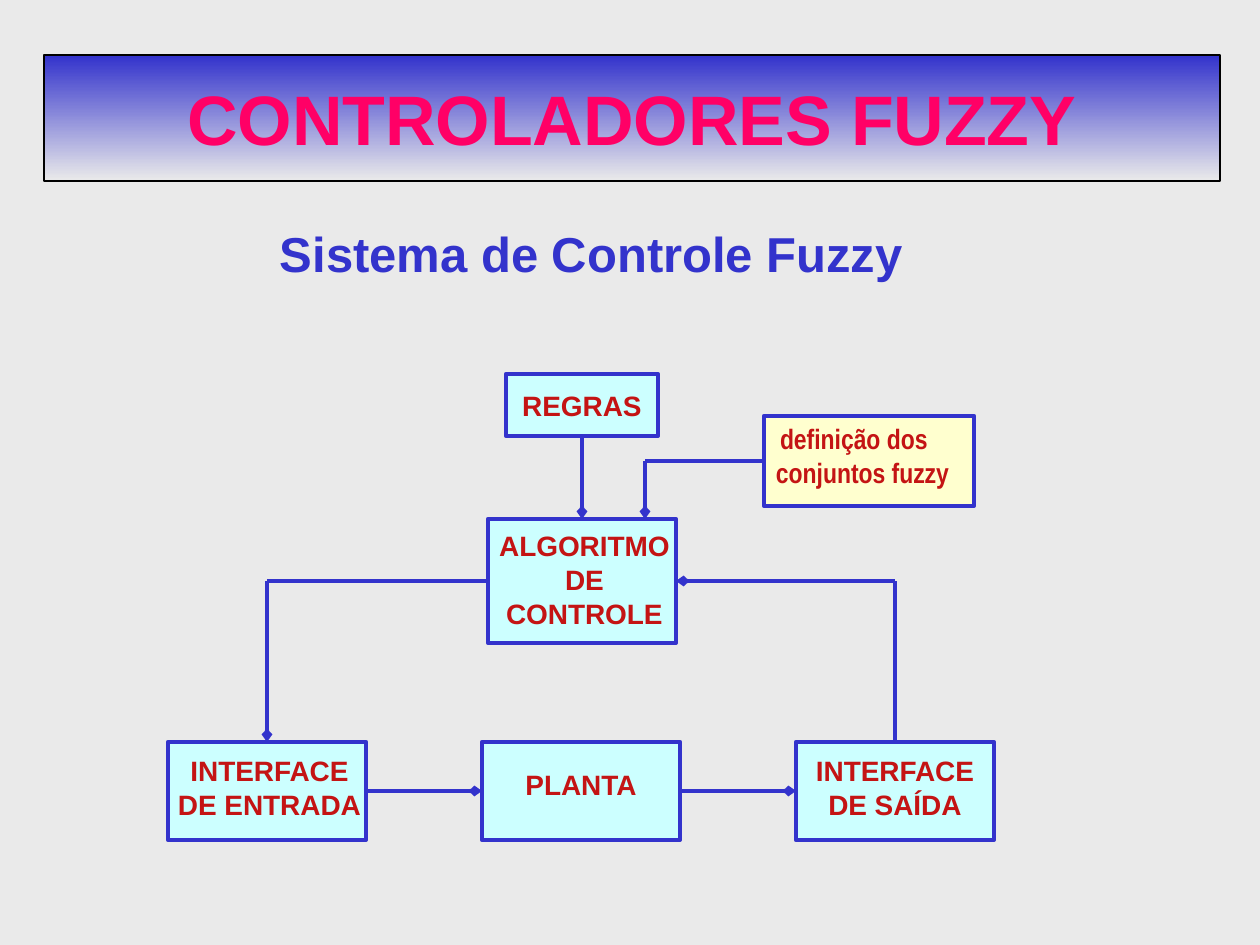
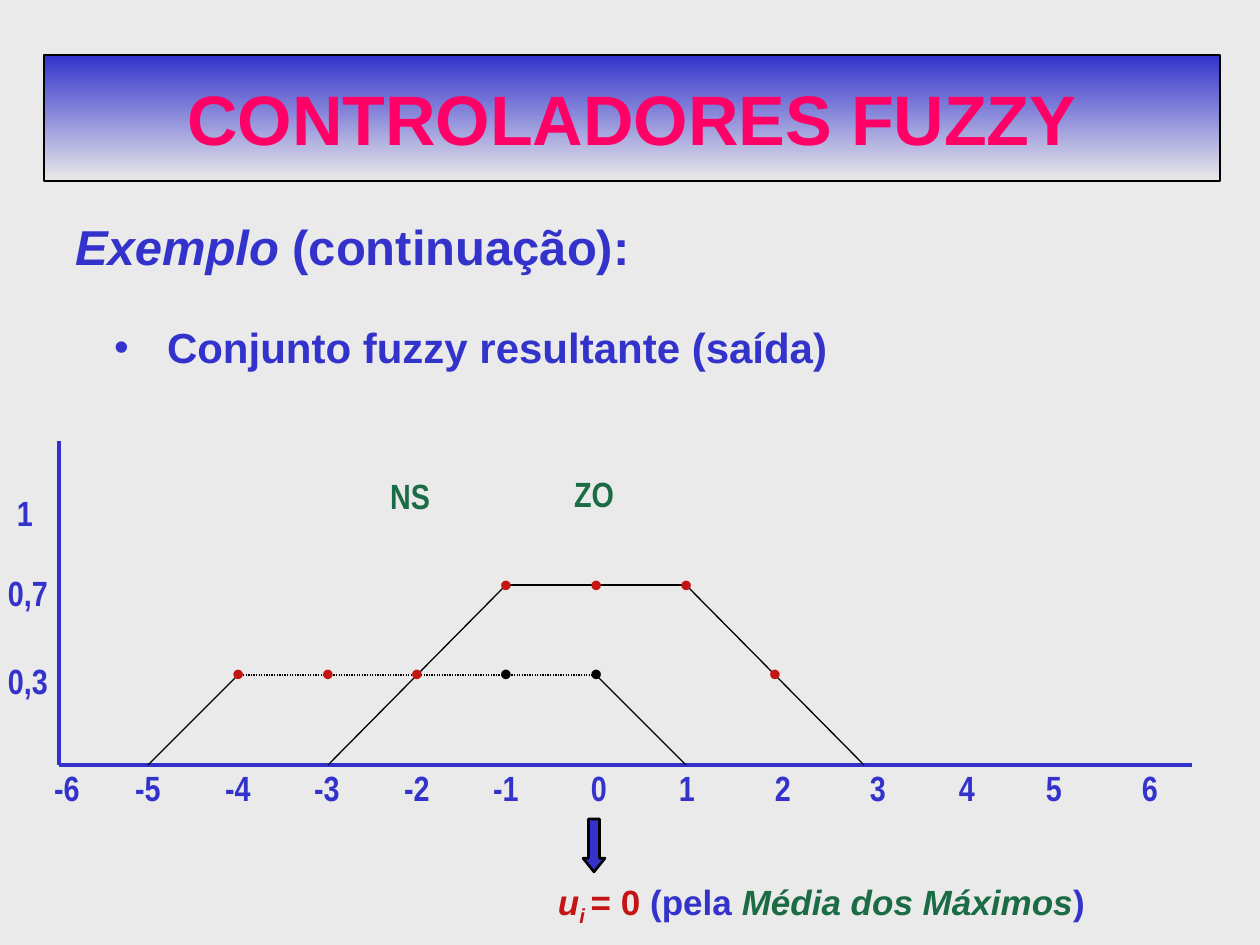
from dataclasses import dataclass, replace

from lxml.etree import SubElement
from pptx import Presentation
from pptx.dml.color import RGBColor
from pptx.enum.dml import MSO_LINE
from pptx.enum.shapes import MSO_CONNECTOR, MSO_SHAPE
from pptx.enum.text import MSO_ANCHOR, MSO_AUTO_SIZE, PP_ALIGN
from pptx.oxml.ns import qn
from pptx.util import Emu, Pt

PX = 914400 / 126


@dataclass(frozen=True)
class Theme:
    paper: str = "EAEAEA"
    blue: str = "3333CC"
    pink: str = "FF0066"
    red: str = "C41414"
    green: str = "1B6B45"
    black: str = "000000"
    cyan: str = "CCFFFF"
    cream: str = "FFFFCF"
    sans: str = "Arial"
    narrow: str = "Arial Narrow"
    title: int = 40
    heading: int = 28
    bullet: int = 24
    label: int = 20
    block: int = 16
    thick: float = 2.5
    medium: float = 1.5
    thin: float = 0.75


@dataclass(frozen=True)
class Style:
    size: int
    color: str
    face: str = Theme.sans
    bold: bool = True


THEME = Theme()
TITLE = Style(THEME.title, THEME.pink)
HEADING = Style(THEME.heading, THEME.blue)
BULLET = Style(THEME.bullet, THEME.blue)
BLOCK = Style(THEME.block, THEME.red)
RESULT = Style(THEME.label, THEME.red)
AXIS = Style(THEME.label, THEME.blue, THEME.narrow)
SET_NAME = replace(AXIS, color=THEME.green)

TICK_CENTERS = [67, 148, 238, 327, 417, 506, 599, 687, 783, 878, 967, 1054, 1150]
ORIGIN_X, ORIGIN_Y = 59, 765


def px(value):
    return Emu(round(value * PX))


def rgb(color):
    return RGBColor.from_string(color)


def format_para(para, style, align=PP_ALIGN.LEFT, spacing=None):
    para.alignment = align
    if spacing:
        para.line_spacing = spacing
    para.font.name = style.face
    para.font.size = Pt(style.size)
    para.font.bold = style.bold
    para.font.color.rgb = rgb(style.color)


def add_span(para, text, italic=False, color=None, baseline=0):
    span = para.add_run()
    span.text = text
    if italic:
        span.font.italic = True
    if color:
        span.font.color.rgb = rgb(color)
    if baseline:
        span.font._element.set("baseline", str(baseline))


def set_indent(para, left, first):
    properties = para._p.get_or_add_pPr()
    properties.set("marL", str(px(left)))
    properties.set("indent", str(px(first)))


def set_bullet(para, color):
    properties = para._p.get_or_add_pPr()
    SubElement(SubElement(properties, qn("a:buClr")), qn("a:srgbClr"), val=color)
    SubElement(properties, qn("a:buFont"), typeface=THEME.sans)
    SubElement(properties, qn("a:buChar"), char="•")


def set_center_tabs(para, positions):
    tabs = SubElement(para._p.get_or_add_pPr(), qn("a:tabLst"))
    for position in positions:
        SubElement(tabs, qn("a:tab"), pos=str(px(position)), algn="ctr")


def set_frame(shape, insets, anchor=MSO_ANCHOR.TOP):
    frame = shape.text_frame
    frame.word_wrap = True
    frame.auto_size = MSO_AUTO_SIZE.NONE
    frame.vertical_anchor = anchor
    frame.margin_left, frame.margin_top, frame.margin_right, frame.margin_bottom = map(px, insets)
    return frame


def add_text(page, area, insets=(0, 0, 0, 0), anchor=MSO_ANCHOR.TOP):
    box = page.shapes.add_textbox(*map(px, area))
    return set_frame(box, insets, anchor)


def add_label(page, area, text, style, align=PP_ALIGN.LEFT):
    para = add_text(page, area).paragraphs[0]
    para.text = text
    format_para(para, style, align)


def outline(shape, color, width):
    shape.line.color.rgb = rgb(color)
    shape.line.width = Pt(width)


def add_preset(page, kind, area, fill, line, width):
    shape = page.shapes.add_shape(kind, *map(px, area))
    shape.shadow.inherit = False
    shape.fill.solid()
    shape.fill.fore_color.rgb = rgb(fill)
    outline(shape, line, width)
    return shape


def add_block(page, area, text, insets, fill=THEME.cyan, align=PP_ALIGN.CENTER):
    block = add_preset(page, MSO_SHAPE.RECTANGLE, area, fill, THEME.blue, THEME.thick)
    para = set_frame(block, insets).paragraphs[0]
    para.text = text
    format_para(para, BLOCK, align)
    return block


def add_line(page, start, end, color=THEME.blue, width=THEME.thick,
             arrow=False, dotted=False, source=None, target=None):
    line = page.shapes.add_connector(MSO_CONNECTOR.STRAIGHT, *map(px, (*start, *end)))
    outline(line, color, width)
    if dotted:
        line.line.dash_style = MSO_LINE.ROUND_DOT
    if arrow:
        SubElement(line.line._get_or_add_ln(), qn("a:tailEnd"), type="arrow", w="sm", len="sm")
    SubElement(line._element.spPr, qn("a:effectLst"))
    if source:
        line.begin_connect(*source)
    if target:
        line.end_connect(*target)


def add_page(deck):
    page = deck.slides.add_slide(deck.slide_layouts[5])
    title = page.shapes.title
    title.left, title.top, title.width, title.height = map(px, (44, 55, 1176, 126))
    title.fill.gradient()
    title.fill.gradient_angle = 270
    for stop, color in zip(title.fill.gradient_stops, (THEME.blue, THEME.paper)):
        stop.color.rgb = rgb(color)
    outline(title, THEME.black, THEME.thin)
    para = set_frame(title, (12, 6, 12, 6), MSO_ANCHOR.MIDDLE).paragraphs[0]
    para.text = "CONTROLADORES FUZZY"
    format_para(para, TITLE, PP_ALIGN.CENTER)
    return page


def add_control_system(deck):
    page = add_page(deck)
    heading = add_text(page, (268, 189, 683, 105), (12, 11, 12, 6)).paragraphs[0]
    heading.text = "Sistema de Controle Fuzzy"
    format_para(heading, HEADING, spacing=1.4)

    rules = add_block(page, (506, 374, 152, 62), "REGRAS", (0, 15, 0, 0))
    algorithm = add_block(page, (488, 519, 188, 124), "ALGORITMO DE CONTROLE", (5, 10, 0, 0))
    definition = add_block(page, (764, 416, 210, 90), "definição dos conjuntos fuzzy",
                           (12, 6, 12, 6), THEME.cream, PP_ALIGN.LEFT)
    definition_para = definition.text_frame.paragraphs[0]
    definition_para.font.name = THEME.narrow
    set_indent(definition_para, 0, 4)

    stages = [("INTERFACE DE ENTRADA", (5, 12, 0, 0)),
              ("PLANTA", (0, 26, 0, 0)),
              ("INTERFACE DE SAÍDA", (0, 12, 0, 0))]
    entry, plant, output = [
        add_block(page, (168 + 314 * index, 742, 198, 98), text, insets)
        for index, (text, insets) in enumerate(stages)]

    add_line(page, (582, 436), (582, 519), arrow=True, source=(rules, 2), target=(algorithm, 0))
    add_line(page, (764, 461), (645, 461), source=(definition, 1))
    add_line(page, (645, 461), (645, 519), arrow=True)
    add_line(page, (488, 581), (267, 581), source=(algorithm, 1))
    add_line(page, (267, 581), (267, 742), arrow=True, target=(entry, 0))
    add_line(page, (366, 791), (482, 791), arrow=True, source=(entry, 3), target=(plant, 1))
    add_line(page, (680, 791), (796, 791), arrow=True, source=(plant, 3), target=(output, 1))
    add_line(page, (895, 742), (895, 581), source=(output, 0))
    add_line(page, (895, 581), (676, 581), arrow=True, target=(algorithm, 3))


def graph_point(value, level):
    return round(ORIGIN_X + 89.5 * (value + 6)), ORIGIN_Y - 90 * level


def add_edge(page, start, end, dotted=False):
    add_line(page, graph_point(*start), graph_point(*end), THEME.black, THEME.thin, dotted=dotted)


def add_dot(page, value, level, color):
    x, y = graph_point(value, level)
    add_label(page, (x - 6, y - 23, 54, 33), "•", Style(THEME.label, color, bold=False))


def add_axes(page):
    add_line(page, (ORIGIN_X, 441), (ORIGIN_X, ORIGIN_Y))
    add_line(page, (ORIGIN_X, ORIGIN_Y), (1192, ORIGIN_Y))

    left = 47
    ticks = add_text(page, (left, 767, 1200, 50)).paragraphs[0]
    ticks.text = "".join(f"\t{value}" for value in range(-6, 7))
    set_center_tabs(ticks, [center - left for center in TICK_CENTERS])
    format_para(ticks, AXIS)

    frame = add_text(page, (8, 454, 73, 229))
    for index, (text, spacing) in enumerate([("1", 1.9), ("0,7", 1.9), ("0,3", 2.1)]):
        para = frame.add_paragraph() if index else frame.paragraphs[0]
        para.text = text
        format_para(para, AXIS, spacing=spacing)
    set_indent(frame.paragraphs[0], 9, 0)


def add_result_set(deck):
    page = add_page(deck)
    frame = add_text(page, (63, 176, 1113, 255), (12, 11, 12, 6))
    heading = frame.paragraphs[0]
    add_span(heading, "Exemplo ", italic=True)
    add_span(heading, "(continuação):")
    format_para(heading, HEADING, spacing=1.5)
    item = frame.add_paragraph()
    item.text = "Conjunto fuzzy resultante (saída)"
    item.level = 1
    set_indent(item, 92, -53)
    set_bullet(item, THEME.blue)
    format_para(item, BULLET, spacing=1.5)
    item.space_before = Pt(6)
    for para in (heading, item):
        para.space_after = Pt(6)

    add_axes(page)
    add_label(page, (383, 474, 54, 42), "NS", SET_NAME, PP_ALIGN.CENTER)
    add_label(page, (567, 472, 54, 42), "ZO", SET_NAME, PP_ALIGN.CENTER)

    add_edge(page, (-5, 0), (-4, 1))
    add_edge(page, (-4, 1), (0, 1), dotted=True)
    add_edge(page, (0, 1), (1, 0))
    add_edge(page, (-3, 0), (-1, 2))
    add_edge(page, (-1, 2), (1, 2))
    add_edge(page, (1, 2), (3, 0))

    for level, values, color in [(1, (-4, -3, -2, 2), THEME.red),
                                 (1, (-1, 0), THEME.black),
                                 (2, (-1, 0, 1), THEME.red)]:
        for value in values:
            add_dot(page, value, level, color)

    arrow = add_preset(page, MSO_SHAPE.DOWN_ARROW, (583, 819, 22, 53),
                       THEME.blue, THEME.black, THEME.medium)
    arrow.adjustments[0] = 0.5
    arrow.adjustments[1] = 0.625

    result = add_text(page, (546, 874, 640, 60), (12, 6, 12, 6), MSO_ANCHOR.MIDDLE).paragraphs[0]
    add_span(result, "u", italic=True)
    add_span(result, "i ", italic=True, baseline=-25000)
    add_span(result, "= 0")
    add_span(result, " (pela ", color=THEME.blue)
    add_span(result, "Média dos Máximos", italic=True, color=THEME.green)
    add_span(result, ")", color=THEME.blue)
    format_para(result, RESULT)


def main():
    deck = Presentation()
    deck.slide_width, deck.slide_height = px(1260), px(945)
    background = deck.slide_master.background.fill
    background.solid()
    background.fore_color.rgb = rgb(THEME.paper)
    add_control_system(deck)
    add_result_set(deck)
    deck.save("out.pptx")


if __name__ == "__main__":
    main()
